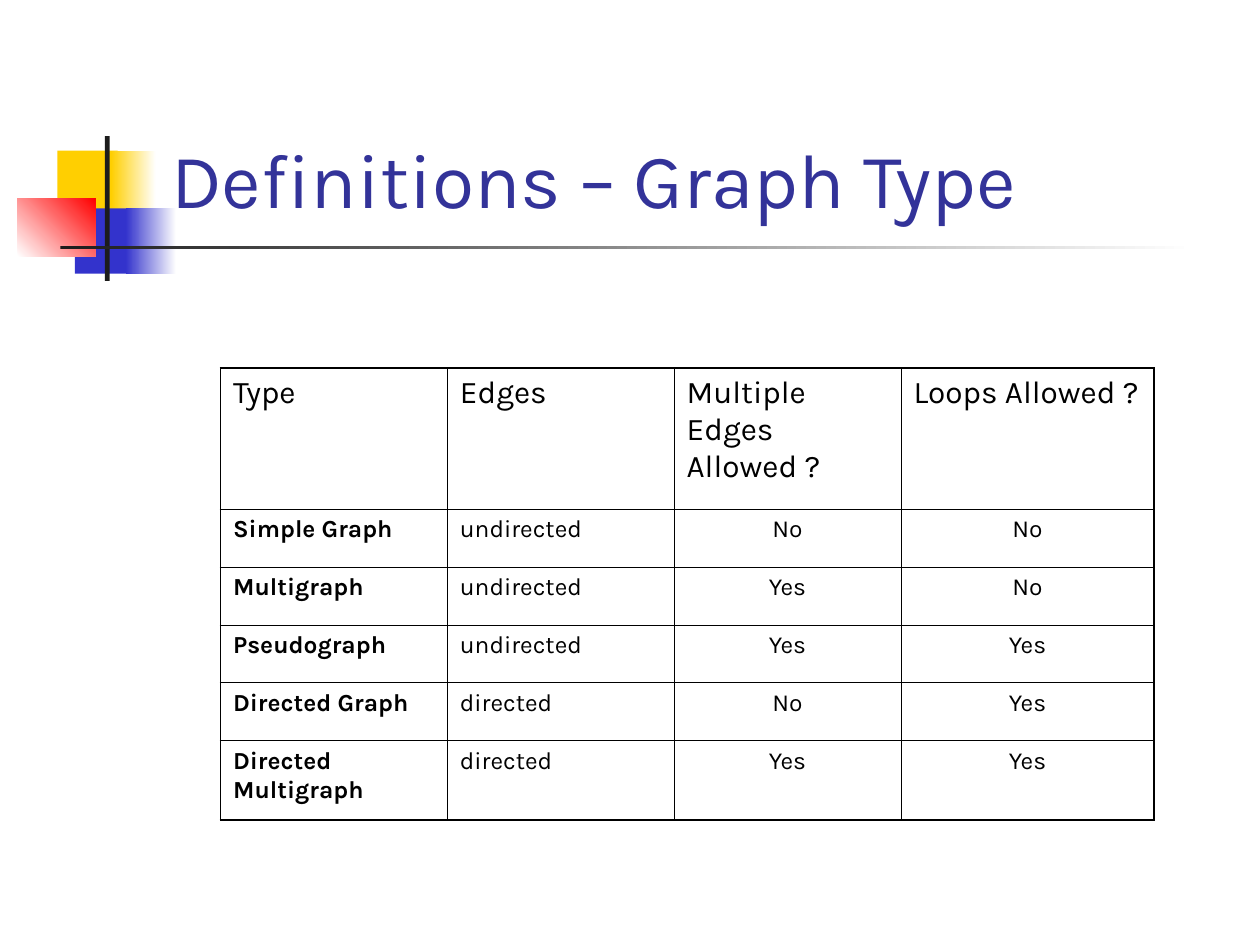
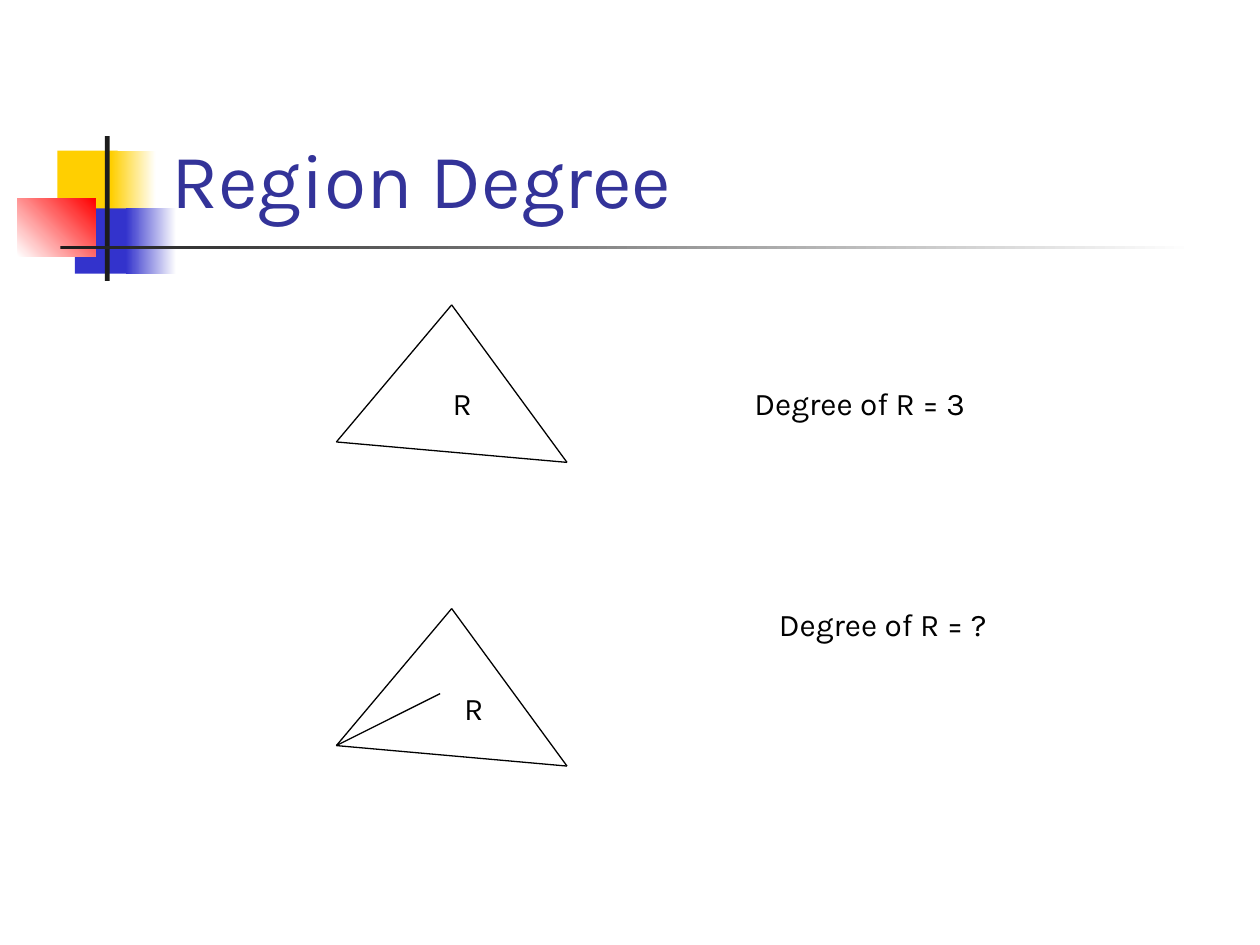
from dataclasses import dataclass

from lxml.etree import SubElement
from pptx import Presentation
from pptx.dml.color import RGBColor
from pptx.enum.shapes import MSO_CONNECTOR, MSO_SHAPE
from pptx.enum.text import MSO_ANCHOR, MSO_AUTO_SIZE, PP_ALIGN
from pptx.oxml.ns import qn
from pptx.util import Inches, Pt


@dataclass(frozen=True)
class Theme:
    font: str = "Karla"
    title: str = "333399"
    text: str = "000000"
    paper: str = "FFFFFF"
    yellow: str = "FFCF01"
    blue: str = "3333CC"
    red: str = "FF0000"
    bar: str = "1C1C1C"
    title_size: int = 44
    body_size: int = 18
    cell_size: int = 14
    line: float = 0.75
    outer_border: float = 1.08
    inner_border: float = 0.45


@dataclass(frozen=True)
class Box:
    x: float
    y: float
    w: float
    h: float

    def point(self, across, down):
        return Inches(self.x + across * self.w), Inches(self.y + down * self.h)

    def area(self, across, down, wide, high):
        return Box(self.x + across * self.w, self.y + down * self.h,
                   wide * self.w, high * self.h)

    def emu(self):
        return [Inches(v) for v in (self.x, self.y, self.w, self.h)]


T = Theme()
SLIDE = Box(0, 0, 10, 7.5)
EMBLEM = Box(0.14, 1.08, 1.26, 1.15)
RULE = Box(0.48, 1.95, 9, 0.03)
TITLE = Box(1.26, 0.23, 8.52, 1.6)
TABLE = Box(1.75, 2.92, 7.41, 3.59)
FIGURE_TOPS = (2.42, 4.83)

COLUMNS = (1.8, 1.8, 1.8, 2.01)
ROWS = (1.12, 0.46, 0.46, 0.46, 0.46, 0.63)
GRAPH_TYPES = (
    ("Type", "Edges", "Multiple Edges Allowed ?", "Loops Allowed ?"),
    ("Simple Graph", "undirected", "No", "No"),
    ("Multigraph", "undirected", "Yes", "No"),
    ("Pseudograph", "undirected", "Yes", "Yes"),
    ("Directed Graph", "directed", "No", "Yes"),
    ("Directed Multigraph", "directed", "Yes", "Yes"),
)

APEX, LEFT, RIGHT, INNER = (0.5, 0), (0, 0.87), (1, 1), (0.45, 0.54)
TRIANGLE = ((APEX, LEFT), (APEX, RIGHT), (LEFT, RIGHT))


def rgb(color):
    return RGBColor.from_string(color)


def add_run(p, text, size, color=T.text, bold=False):
    r = p.add_run()
    r.text = text
    r.font.name = T.font
    r.font.size = Pt(size)
    r.font.bold = bold
    r.font.color.rgb = rgb(color)


def add_block(s, box, start, end=None, angle=0):
    sp = s.shapes.add_shape(MSO_SHAPE.RECTANGLE, *box.emu())
    sp.shadow.inherit = False
    sp.line.fill.background()
    if end is None:
        sp.fill.solid()
        sp.fill.fore_color.rgb = rgb(start)
        return
    sp.fill.gradient()
    sp.fill.gradient_angle = angle
    for stop, color in zip(sp.fill.gradient_stops, (start, end)):
        stop.color.rgb = rgb(color)


def add_emblem(s, box):
    add_block(s, box.area(0.25, 0.1, 0.38, 0.45), T.yellow)
    add_block(s, box.area(0.59, 0.1, 0.28, 0.45), T.yellow, T.paper)
    add_block(s, box.area(0.36, 0.5, 0.36, 0.45), T.blue)
    add_block(s, box.area(0.68, 0.5, 0.32, 0.45), T.blue, T.paper)
    add_block(s, box.area(0, 0.43, 0.49, 0.4), T.paper, T.red, 45)
    add_block(s, box.area(0.55, 0, 0.03, 1), T.bar)


def add_title(s, box, text):
    tf = s.shapes.add_textbox(*box.emu()).text_frame
    tf.word_wrap = True
    tf.vertical_anchor = MSO_ANCHOR.BOTTOM
    add_run(tf.paragraphs[0], text, T.title_size, T.title)


def new_slide(prs, title):
    s = prs.slides.add_slide(prs.slide_layouts[6])
    add_emblem(s, EMBLEM)
    add_block(s, RULE, T.bar, T.paper)
    add_title(s, TITLE, title)
    return s


def set_borders(cell, outer_sides):
    tc_pr = cell._tc.get_or_add_tcPr()
    for side in "LRTB":
        width = T.outer_border if side in outer_sides else T.inner_border
        ln = SubElement(tc_pr, qn(f"a:ln{side}"), w=str(int(Pt(width))))
        fill = SubElement(ln, qn("a:solidFill"))
        SubElement(fill, qn("a:srgbClr"), val=T.text)


def add_graph_table(s, box):
    n_rows, n_cols = len(ROWS), len(COLUMNS)
    table = s.shapes.add_table(n_rows, n_cols, *box.emu()).table
    table.first_row = table.horz_banding = False
    for column, width in zip(table.columns, COLUMNS):
        column.width = Inches(width)
    for row, height in zip(table.rows, ROWS):
        row.height = Inches(height)
    for i, values in enumerate(GRAPH_TYPES):
        for j, value in enumerate(values):
            cell = table.cell(i, j)
            edges = {"L": j == 0, "R": j == n_cols - 1,
                     "T": i == 0, "B": i == n_rows - 1}
            set_borders(cell, [side for side, outer in edges.items() if outer])
            cell.fill.background()
            p = cell.text_frame.paragraphs[0]
            if i and j > 1:
                p.alignment = PP_ALIGN.CENTER
            add_run(p, value, T.cell_size if i else T.body_size,
                    bold=i > 0 and j == 0)


def add_edge(s, box, start, end):
    c = s.shapes.add_connector(MSO_CONNECTOR.STRAIGHT,
                               *box.point(*start), *box.point(*end))
    c.line.color.rgb = rgb(T.text)
    c.line.width = Pt(T.line)
    SubElement(c._element.spPr, qn("a:effectLst"))


def add_label(s, box, text):
    tf = s.shapes.add_textbox(*box.emu()).text_frame
    tf.word_wrap = False
    tf.auto_size = MSO_AUTO_SIZE.SHAPE_TO_FIT_TEXT
    p = tf.paragraphs[0]
    p.alignment = PP_ALIGN.CENTER
    add_run(p, text, T.body_size)


def add_region(s, box, edges, region_at, degree_at, degree):
    for start, end in edges:
        add_edge(s, box, start, end)
    add_label(s, box.area(*region_at, 0.19, 0.32), "R")
    add_label(s, box.area(*degree_at, 1.08, 0.32), f"Degree of R = {degree}")


def graph_type_slide(prs):
    s = new_slide(prs, "Definitions – Graph Type")
    add_graph_table(s, TABLE)


def region_degree_slide(prs):
    s = new_slide(prs, "Region Degree")
    plain, spurred = (Box(2.67, top, 1.83, 1.25) for top in FIGURE_TOPS)
    add_region(s, plain, TRIANGLE, (0.45, 0.46), (1.73, 0.46), "3")
    add_region(s, spurred, TRIANGLE + ((LEFT, INNER),),
               (0.5, 0.47), (1.83, -0.06), "?")


def main():
    prs = Presentation()
    prs.slide_width, prs.slide_height = Inches(SLIDE.w), Inches(SLIDE.h)
    graph_type_slide(prs)
    region_degree_slide(prs)
    prs.save("out.pptx")


if __name__ == "__main__":
    main()
